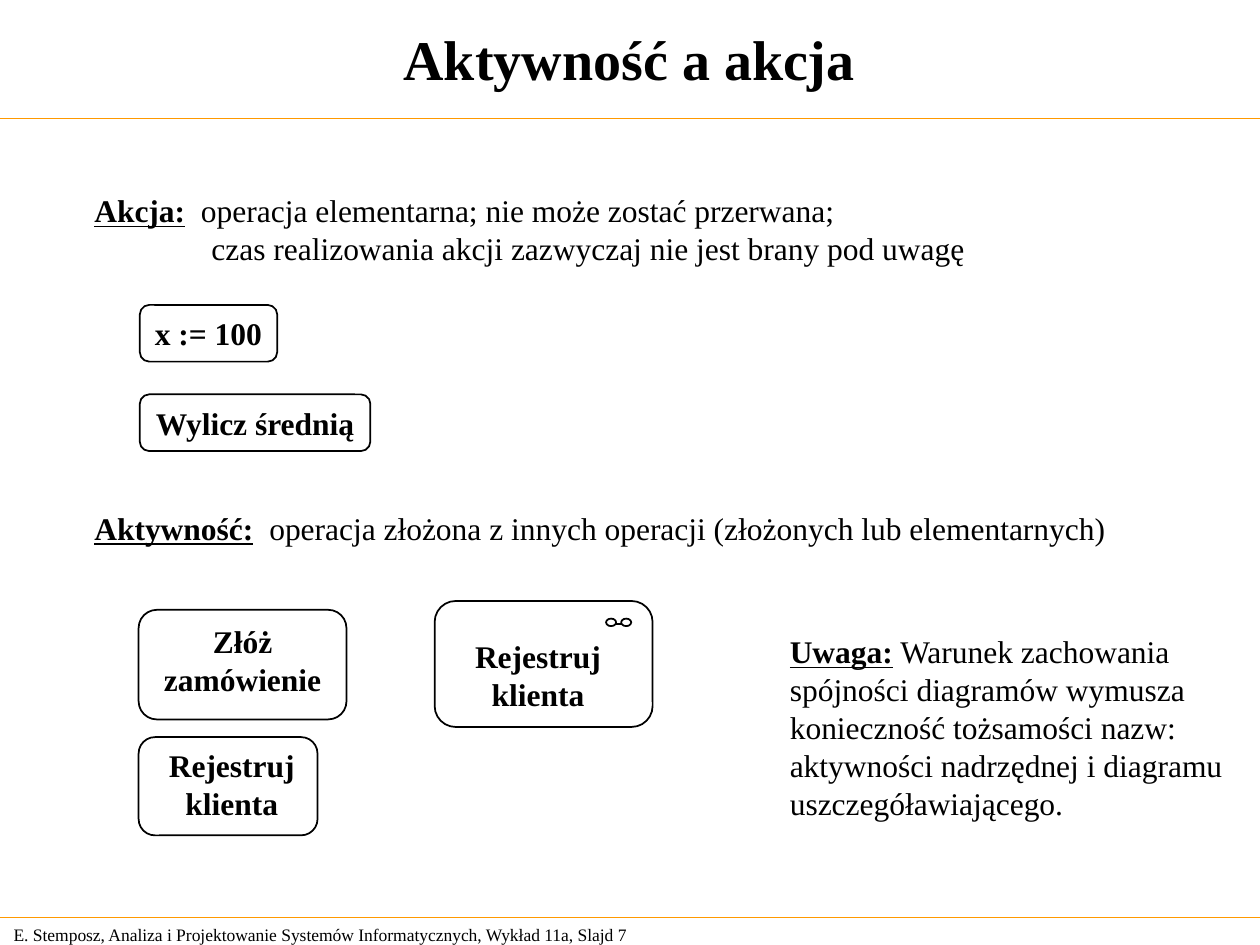
from pptx import Presentation
from pptx.dml.color import RGBColor
from pptx.enum.shapes import MSO_CONNECTOR, MSO_SHAPE
from pptx.enum.text import MSO_ANCHOR, PP_ALIGN
from pptx.oxml.ns import qn
from pptx.util import Inches, Pt
from lxml.etree import SubElement

COLORS = {"text": "000000", "outline": "000000", "rule": "FF9900"}


class Deck:
    font = "Times New Roman"
    size = 18

    def __init__(self, prs):
        self.s = prs.slides.add_slide(prs.slide_layouts[5])

    def color(self, name):
        return RGBColor.from_string(COLORS[name])

    def fill_text(self, shape, lines, size=None, bold=False, align=PP_ALIGN.LEFT,
                  anchor=MSO_ANCHOR.TOP, wrap=False, lead=None):
        """Fill a shape; lead is a bold underlined term before the first line."""
        tf = shape.text_frame
        tf.word_wrap = wrap
        tf.vertical_anchor = anchor
        tf.margin_left = tf.margin_right = Inches(0.1)
        tf.margin_top = tf.margin_bottom = Inches(0.05)
        tf.text = "\n".join(lines)
        if lead:
            p = tf.paragraphs[0]
            p.text = lead
            p.add_run().text = lines[0]
        for p in tf.paragraphs:
            p.alignment = align
            for r in p.runs:
                r.font.name = self.font
                r.font.size = Pt(size or self.size)
                r.font.bold = bold
                r.font.color.rgb = self.color("text")
        if lead:
            r = tf.paragraphs[0].runs[0]
            r.font.bold = r.font.underline = True
        return tf

    def title(self, text, x, y, w, h):
        sp = self.s.shapes.title
        sp.left, sp.top, sp.width, sp.height = map(Inches, (x, y, w, h))
        self.fill_text(sp, [text], 32, True, PP_ALIGN.CENTER, MSO_ANCHOR.MIDDLE, True)

    def text(self, lines, x, y, w, h, to=None, **style):
        sp = (to or self.s).shapes.add_textbox(*map(Inches, (x, y, w, h)))
        return self.fill_text(sp, lines, **style)

    def shape(self, kind, x, y, w, h, to=None):
        sp = (to or self.s).shapes.add_shape(kind, *map(Inches, (x, y, w, h)))
        sp.shadow.inherit = False
        sp.fill.background()
        sp.line.color.rgb = self.color("outline")
        sp.line.width = Pt(1)
        return sp

    def box(self, x, y, w, h, to=None):
        return self.shape(MSO_SHAPE.ROUNDED_RECTANGLE, x, y, w, h, to)

    def line(self, x1, x2, y, color, width, to=None):
        c = (to or self.s).shapes.add_connector(
            MSO_CONNECTOR.STRAIGHT, *map(Inches, (x1, y, x2, y)))
        c.line.color.rgb = self.color(color)
        c.line.width = Pt(width)
        SubElement(c._element.spPr, qn("a:effectLst"))

    def group(self):
        return self.s.shapes.add_group_shape()


def main():
    prs = Presentation()
    prs.slide_width, prs.slide_height = Inches(10), Inches(7.5)
    d = Deck(prs)
    centered = {"bold": True, "align": PP_ALIGN.CENTER}

    # Title, rules and footer
    d.title("Aktywność a akcja", 0, 0, 9.99, 0.92)
    for y in (0.94, 7.28):
        d.line(0, 10, y, "rule", 0.75)
    d.text(["E. Stemposz, Analiza i Projektowanie Systemów Informatycznych, "
            "Wykład 11a, Slajd 7"],
           0.01, 7.28, 5.24, 0.27, size=10, anchor=MSO_ANCHOR.MIDDLE, wrap=True)

    # Action: definition and examples
    tf = d.text(["  operacja elementarna; nie może zostać przerwana;",
                 "czas realizowania akcji zazwyczaj nie jest brany pod uwagę"],
                0.65, 1.47, 7.18, 0.7, lead="Akcja:")
    tf.paragraphs[1]._p.get_or_add_pPr().set("marL", str(Inches(0.93)))
    for name, y, w in (("x := 100", 2.42, 1.09), ("Wylicz średnią", 3.13, 1.83)):
        d.fill_text(d.box(1.11, y, w, 0.45), [name],
                    anchor=MSO_ANCHOR.MIDDLE, **centered)

    # Activity: definition and examples
    d.text(["  operacja złożona z innych operacji (złożonych lub elementarnych)"],
           0.65, 3.99, 8.29, 0.4, lead="Aktywność:")
    activities = [
        (["Złóż", "zamówienie"], (1.1, 4.84, 1.65, 0.87), (1.2, 4.89, 1.45, 0.7)),
        (["Rejestruj", "klienta"], (1.1, 5.85, 1.42, 0.78), (1.24, 5.87, 1.2, 0.7)),
        (["Rejestruj", "klienta"], (3.45, 4.77, 1.73, 1), (3.67, 5.01, 1.2, 0.7)),
    ]
    for lines, frame, label in activities:
        g = d.group()
        d.box(*frame, to=g)
        d.text(lines, *label, to=g, **centered)

    # Sub-diagram symbol
    icon = d.group()
    for x in (4.81, 4.93):
        d.shape(MSO_SHAPE.OVAL, x, 4.91, 0.08, 0.06, icon)
    d.line(4.89, 4.93, 4.95, "outline", 1, icon)

    # Note
    d.text([" Warunek zachowania", "spójności diagramów wymusza",
            "konieczność tożsamości nazw:", "aktywności nadrzędnej i diagramu",
            "uszczegóławiającego."],
           6.17, 4.97, 3.7, 1.6, lead="Uwaga:")

    prs.save("out.pptx")


if __name__ == "__main__":
    main()
